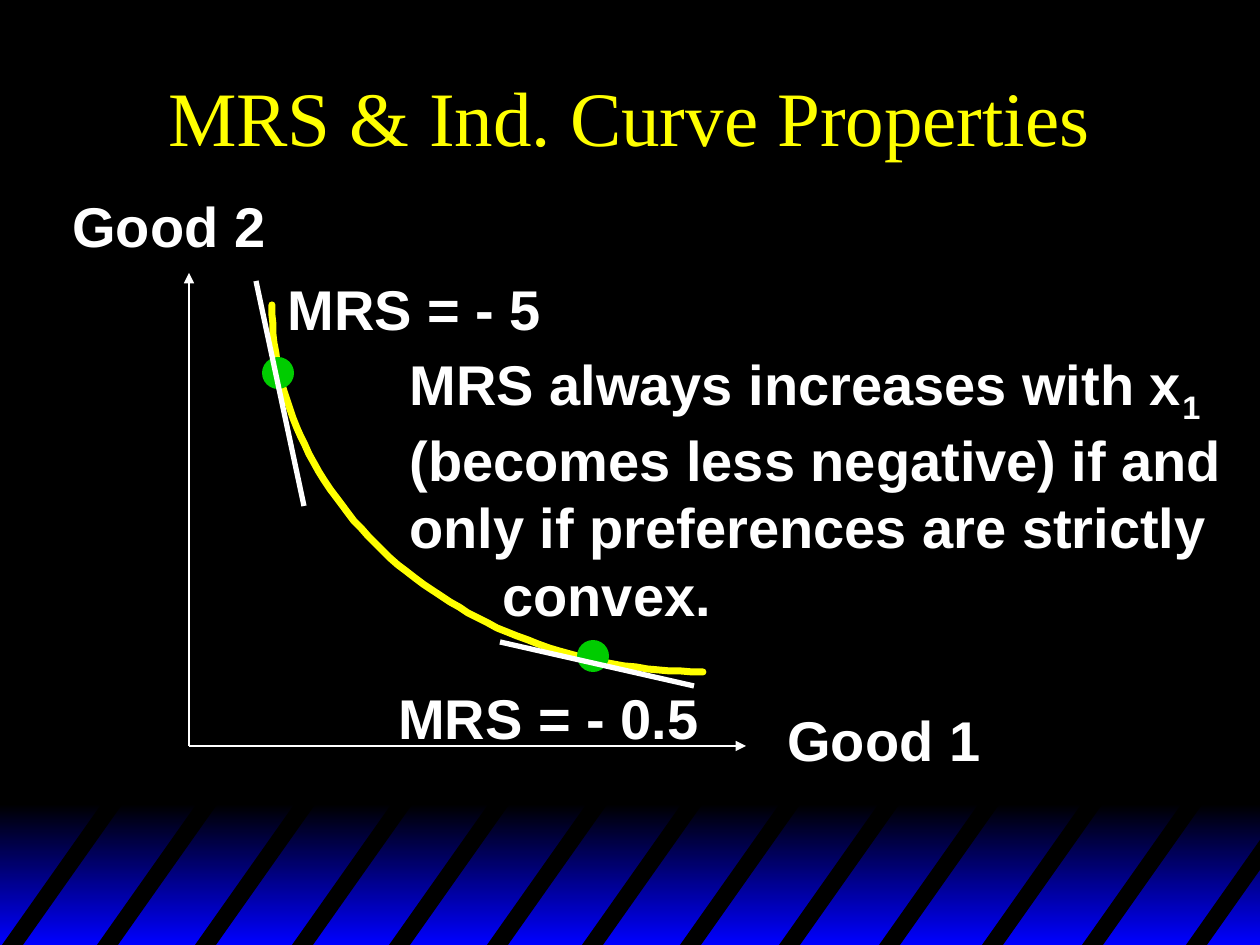
import math

from lxml import etree
from pptx import Presentation
from pptx.dml.color import RGBColor
from pptx.enum.shapes import MSO_CONNECTOR, MSO_SHAPE
from pptx.enum.text import MSO_ANCHOR, PP_ALIGN
from pptx.oxml.ns import qn
from pptx.util import Emu, Pt

STRAIGHT = MSO_CONNECTOR.STRAIGHT
OVAL, RECTANGLE = MSO_SHAPE.OVAL, MSO_SHAPE.RECTANGLE
MIDDLE, CENTER = MSO_ANCHOR.MIDDLE, PP_ALIGN.CENTER
SCALE = 914400 / 126
WIDTH, HEIGHT = 1260, 945
BLACK, WHITE, YELLOW, GREEN, BLUE = "000000", "FFFFFF", "FFFF00", "00CC00", "0000FF"

TITLE = "MRS & Ind. Curve Properties"
TITLE_BOX = (94, 32, 1071, 168)
LABELS = [
    ("Good 2", (60, 185, 219, 79)),
    ("Good 1", (775, 699, 219, 79)),
    ("MRS = - 5", (275, 268, 280, 79)),
    ("MRS = - 0.5", (386, 677, 326, 79)),
]
NOTE_BOX = (397, 343, 853, 291)
NOTE_RUNS = [
    ("MRS always increases with x", False),
    ("1", True),
    (" (becomes less negative) if and only if preferences are strictly", False),
]
NOTE_END, NOTE_INDENT = "convex.", 93

ORIGIN = (189, 746)
AXIS_ENDS = [(189, 273), (746, 746)]
CURVE_CENTER, CURVE_RADII, CURVE_STEPS = (703, 305), (431, 367), 60
DOTS, DOT_SIZE = [(577, 640), (262, 357)], 32
TANGENTS = [((256, 281), (304, 506)), ((500, 642), (694, 686))]

BAND_TOP = 804
STRIPE_LEFTS = [2, 97, 195, 292, 389, 487, 582, 680, 779, 879, 982, 1082, 1186]
STRIPE_WIDTH, STRIPE_RUN, STRIPE_RISE = 21, 103, 146


def px(*lengths):
    return [Emu(round(length * SCALE)) for length in lengths]


def color(value):
    return RGBColor.from_string(value)


def style(run, size, font, fill, bold=False):
    run.font.size = Pt(size)
    run.font.name = font
    run.font.bold = bold
    run.font.color.rgb = color(fill)


def add_text_box(box, wrap):
    frame = slide.shapes.add_textbox(*px(*box)).text_frame
    frame.word_wrap = wrap
    return frame


def add_run(para, text, subscript=False):
    run = para.add_run()
    run.text = text
    style(run, 32, "Arial", WHITE, True)
    if subscript:
        run._r.get_or_add_rPr().set("baseline", "-25000")


def add_line(start, end, points, arrow=False):
    line = slide.shapes.add_connector(STRAIGHT, *px(*start, *end))
    line.line.color.rgb = color(WHITE)
    line.line.width = Pt(points)
    if arrow:
        etree.SubElement(line.line._get_or_add_ln(), qn("a:tailEnd"), type="triangle")
    etree.SubElement(line._element.spPr, qn("a:effectLst"))


def add_freeform(points, close):
    builder = slide.shapes.build_freeform(*points[0], scale=SCALE)
    builder.add_line_segments(points[1:], close=close)
    shape = builder.convert_to_shape()
    shape.shadow.inherit = False
    return shape


def stripe_edge(left):
    """Bottom and top points of a slanted edge, cut at the slide's right side."""
    run = min(STRIPE_RUN, WIDTH - left)
    return [(left, HEIGHT), (left + run, HEIGHT - run * STRIPE_RISE / STRIPE_RUN)]


deck = Presentation()
deck.slide_width, deck.slide_height = px(WIDTH, HEIGHT)
slide = deck.slides.add_slide(deck.slide_layouts[5])
slide.background.fill.solid()
slide.background.fill.fore_color.rgb = color(BLACK)

# Striped band along the bottom
band = slide.shapes.add_shape(RECTANGLE, *px(0, BAND_TOP, WIDTH, HEIGHT - BAND_TOP))
band.shadow.inherit = False
band.line.fill.background()
band.fill.gradient()
band.fill.gradient_angle = 270
for stop, position, value in zip(band.fill.gradient_stops, (0, 1), (BLACK, BLUE)):
    stop.position = position
    stop.color.rgb = color(value)
for left in STRIPE_LEFTS:
    outline = stripe_edge(left) + stripe_edge(left + STRIPE_WIDTH)[::-1]
    stripe = add_freeform(outline, True)
    stripe.fill.solid()
    stripe.fill.fore_color.rgb = color(BLACK)
    stripe.line.fill.background()

title = slide.shapes.title
title.left, title.top, title.width, title.height = px(*TITLE_BOX)
title.text_frame.text = TITLE
title.text_frame.vertical_anchor = MIDDLE
title.text_frame.paragraphs[0].alignment = CENTER
style(title.text_frame.paragraphs[0].runs[0], 44, "Times New Roman", YELLOW)

# Axes, indifference curve and tangents
for end in AXIS_ENDS:
    add_line(ORIGIN, end, 1, arrow=True)

curve_points = []
for step in range(CURVE_STEPS + 1):
    angle = math.pi / 2 * (1 + step / CURVE_STEPS)
    curve_points.append((CURVE_CENTER[0] + CURVE_RADII[0] * math.cos(angle),
                         CURVE_CENTER[1] + CURVE_RADII[1] * math.sin(angle)))
curve = add_freeform(curve_points, False)
curve.fill.background()
curve.line.color.rgb = color(YELLOW)
curve.line.width = Pt(4)
curve.line._get_or_add_ln().set("cap", "rnd")

for left, top in DOTS:
    dot = slide.shapes.add_shape(OVAL, *px(left, top, DOT_SIZE, DOT_SIZE))
    dot.shadow.inherit = False
    dot.fill.solid()
    dot.fill.fore_color.rgb = color(GREEN)
    dot.line.fill.background()
for start, end in TANGENTS:
    add_line(start, end, 3)

for text, box in LABELS:
    add_run(add_text_box(box, False).paragraphs[0], text)

note = add_text_box(NOTE_BOX, True)
for text, subscript in NOTE_RUNS:
    add_run(note.paragraphs[0], text, subscript)
last_para = note.add_paragraph()
last_para._p.get_or_add_pPr().set("marL", str(px(NOTE_INDENT)[0]))
add_run(last_para, NOTE_END)

deck.save("out.pptx")
